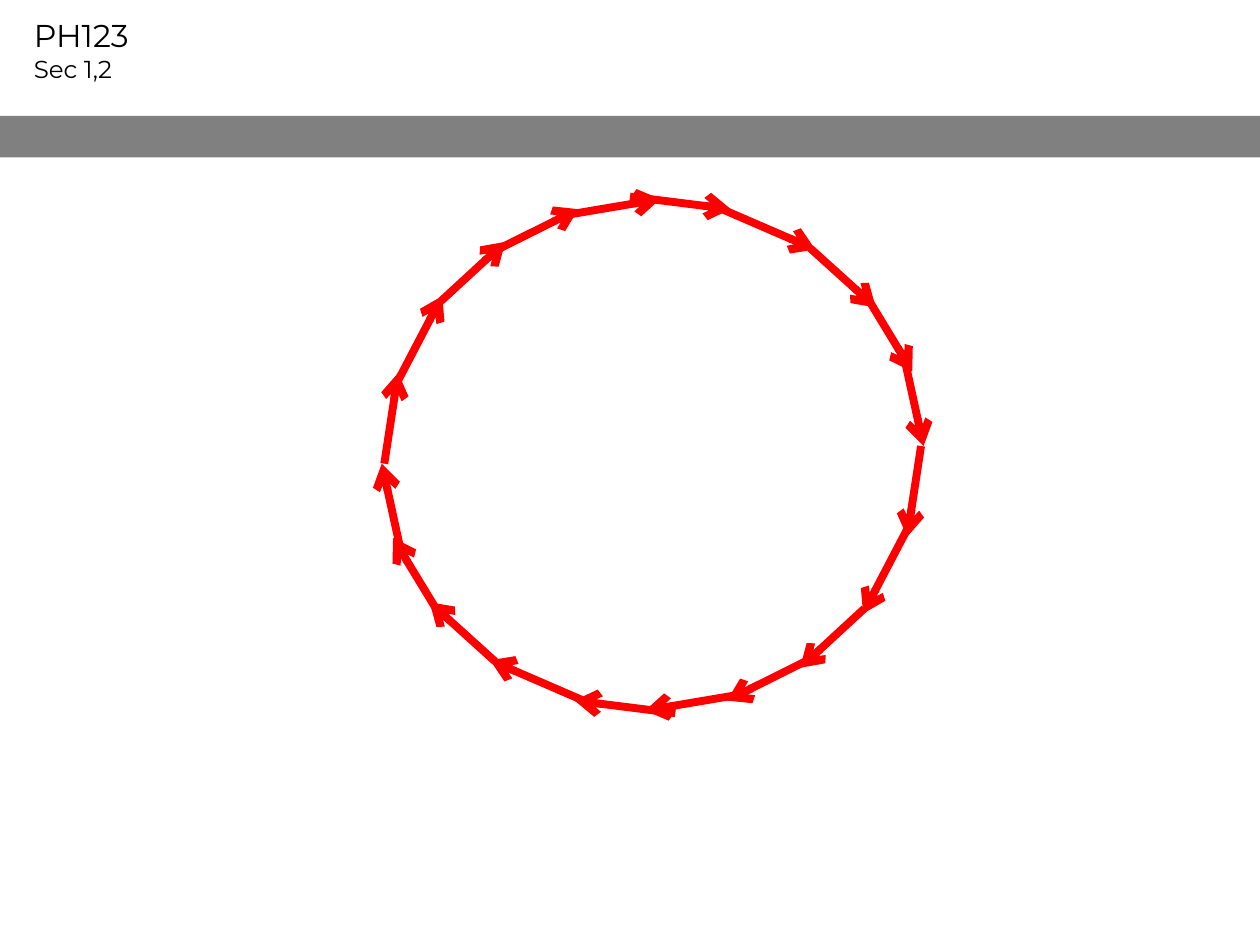
from lxml.etree import SubElement
from pptx import Presentation
from pptx.dml.color import RGBColor
from pptx.enum.shapes import MSO_CONNECTOR, MSO_SHAPE
from pptx.enum.text import MSO_AUTO_SIZE
from pptx.oxml.ns import qn
from pptx.util import Inches, Pt

HEADER = [("PH123", 18), ("Sec 1,2", 14)]
RIGHT_HALF = [
    ((5.73, 1.66), (6.47, 1.98)),
    ((6.9, 2.39), (7.24, 2.95)),
    ((7.19, 2.9), (7.33, 3.54)),
    ((6.43, 1.97), (6.95, 2.44)),
    ((5, 1.56), (5.8, 1.66)),
    ((7.2, 4.2), (6.85, 4.87)),
    ((6.39, 5.25), (5.77, 5.56)),
    ((5.83, 5.52), (5.12, 5.64)),
    ((6.86, 4.83), (6.35, 5.3)),
    ((7.31, 3.54), (7.2, 4.26)),
]
CENTER = (5.18, 3.61)


def color(value):
    return RGBColor.from_string(value)


def opposite(point):
    return tuple(2 * middle - place for middle, place in zip(CENTER, point))


def add_arrow(page, start, end):
    arrow = page.shapes.add_connector(
        MSO_CONNECTOR.STRAIGHT, *(Inches(place) for place in start + end))
    arrow.line.color.rgb = color("FF0000")
    arrow.line.width = Pt(4.5)
    SubElement(arrow.line._get_or_add_ln(), qn("a:tailEnd"), type="arrow")
    SubElement(arrow._element.spPr, qn("a:effectLst"))


def add_header(page):
    box = page.shapes.add_textbox(Inches(0.17), Inches(0.08), Inches(1.09), Inches(0.63))
    frame = box.text_frame
    frame.word_wrap = False
    frame.auto_size = MSO_AUTO_SIZE.SHAPE_TO_FIT_TEXT
    for index, (text, size) in enumerate(HEADER):
        para = frame.add_paragraph() if index else frame.paragraphs[0]
        span = para.add_run()
        span.text = text
        span.font.name = "Montserrat"
        span.font.size = Pt(size)
        span.font.color.rgb = color("000000")


def add_band(page):
    band = page.shapes.add_shape(
        MSO_SHAPE.RECTANGLE, 0, Inches(0.92), Inches(10.08), Inches(0.33))
    band.shadow.inherit = False
    band.fill.solid()
    band.fill.fore_color.rgb = color("808080")
    band.line.fill.background()


def main():
    deck = Presentation()
    deck.slide_width, deck.slide_height = Inches(10), Inches(7.5)
    page = deck.slides.add_slide(deck.slide_layouts[6])
    add_header(page)
    add_band(page)
    for start, end in RIGHT_HALF:
        add_arrow(page, start, end)
    for start, end in RIGHT_HALF:
        add_arrow(page, opposite(start), opposite(end))
    deck.save("out.pptx")


if __name__ == "__main__":
    main()
